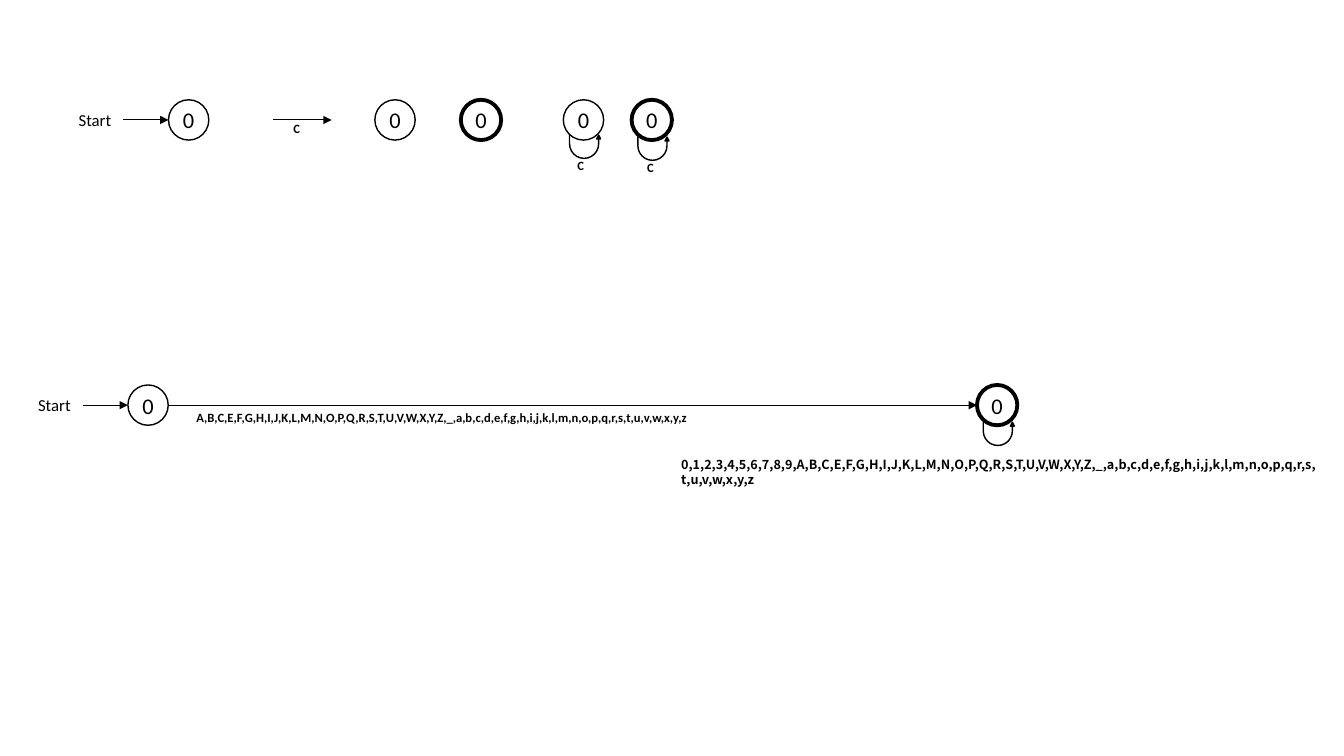
from dataclasses import dataclass
from pptx import Presentation
from pptx.dml.color import RGBColor
from pptx.enum.shapes import MSO_CONNECTOR, MSO_SHAPE
from pptx.enum.text import MSO_ANCHOR, PP_ALIGN
from pptx.oxml.ns import qn
from pptx.util import Pt
from lxml.etree import SubElement


@dataclass(frozen=True)
class Theme:
    ink: RGBColor = RGBColor(0, 0, 0)
    font: str = "Calibri"
    wide: str = "Noto Sans CJK SC"
    label: float = 9
    start: float = 12
    state: float = 16
    arrow: float = 0.75
    thin: float = 1
    thick: float = 2.75


class Graph:
    SIZE = 28.8  # diameter of a state
    LEAD = 32.4  # length of a start arrow

    def __init__(self, slide, theme):
        self.shapes = slide.shapes
        self.theme = theme

    def fill_text(self, frame, text, size, bold=False, font=None, align=PP_ALIGN.LEFT, inset=0):
        frame.margin_left = frame.margin_right = Pt(inset)
        frame.margin_top = frame.margin_bottom = Pt(inset / 2)
        frame.vertical_anchor = MSO_ANCHOR.MIDDLE
        par = frame.paragraphs[0]
        par.alignment = align
        run = par.add_run()
        run.text = text
        run.font.name = font or self.theme.font
        run.font.size = Pt(size)
        run.font.bold = bold
        run.font.color.rgb = self.theme.ink
        return par

    def text(self, x, y, w, h, text, size, wrap=False, **style):
        frame = self.shapes.add_textbox(Pt(x), Pt(y), Pt(w), Pt(h)).text_frame
        frame.word_wrap = wrap
        return self.fill_text(frame, text, size, **style)

    def label(self, x, y, text):
        self.text(x - 6, y - 9, 12, 18, text, self.theme.label, bold=True,
                  align=PP_ALIGN.CENTER)

    def arrow(self, x, end, y):
        link = self.shapes.add_connector(MSO_CONNECTOR.STRAIGHT, Pt(x), Pt(y), Pt(end), Pt(y))
        link.line.color.rgb = self.theme.ink
        link.line.width = Pt(self.theme.arrow)
        SubElement(link.line._get_or_add_ln(), qn("a:tailEnd"), type="triangle")
        SubElement(link._element.spPr, qn("a:effectLst"))

    def shape(self, kind, x, y, w, h, width):
        item = self.shapes.add_shape(kind, Pt(x), Pt(y), Pt(w), Pt(h))
        item.shadow.inherit = False
        item.line.color.rgb = self.theme.ink
        item.line.width = Pt(width)
        return item

    def state(self, x, y, final=False):
        half = self.SIZE / 2
        width = self.theme.thick if final else self.theme.thin
        ring = self.shape(MSO_SHAPE.OVAL, x - half, y - half, self.SIZE, self.SIZE, width)
        ring.fill.background()
        ring.text_frame.word_wrap = False
        self.fill_text(ring.text_frame, "0", self.theme.state, align=PP_ALIGN.CENTER)

    def start(self, x, y):
        edge = x - self.SIZE / 2
        self.text(edge - 71.3, y - 10.8, 38.2, 21.6, "Start", self.theme.start, inset=7.2)
        self.arrow(edge - self.LEAD, edge, y)
        self.state(x, y)

    def loop(self, x, y, drop):
        turn = self.shape(MSO_SHAPE.U_TURN_ARROW, x - 10, y + drop, 22.2, 16.6, self.theme.thin)
        turn.fill.solid()
        turn.fill.fore_color.rgb = self.theme.ink
        for i, value in enumerate((0, 0.085, 0.164, 0.717, 1)):
            turn.adjustments[i] = value
        turn.rotation = 180
        turn._element.spPr.find(qn("a:xfrm")).set("flipH", "1")


deck = Presentation()
deck.slide_width, deck.slide_height = Pt(960), Pt(540)
theme = Theme()
graph = Graph(deck.slides.add_slide(deck.slide_layouts[6]), theme)

# Legend: start, edge, plain and final states, each also with a loop
top = 85.7
graph.start(134.8, top)
graph.arrow(195.1, 236.9, top)
graph.label(212, top + 6, "C")
for x, final in ((282.2, False), (343.6, True)):
    graph.state(x, top, final)
for x, final, drop, shift in ((416.8, False, 10.8, -2), (465.6, True, 12.2, -1)):
    graph.state(x, top, final)
    graph.loop(x, top, drop)
    graph.label(x + shift, top + drop + 21.4, "C")

# Automaton for identifiers
row, first, last = 289.4, 105.8, 712.3
half = graph.SIZE / 2
names = "ABCEFGHIJKLMNOPQRSTUVWXYZ_abcdefghijklmnopqrstuvwxyz"
graph.start(first, row)
graph.arrow(first + half, last - half, row)
graph.text(133.2, row, 414, 18, ",".join(names), theme.label, bold=True, inset=7.2)
graph.state(last, row, True)
graph.loop(last, row, 12.2)
par = graph.text(479.5, 322.6, 467.3, 28.8, ",".join("0123456789" + names), theme.label,
                 wrap=True, bold=True, font=theme.wide, inset=7.2)
par.line_spacing = Pt(10.7)

deck.save("out.pptx")
